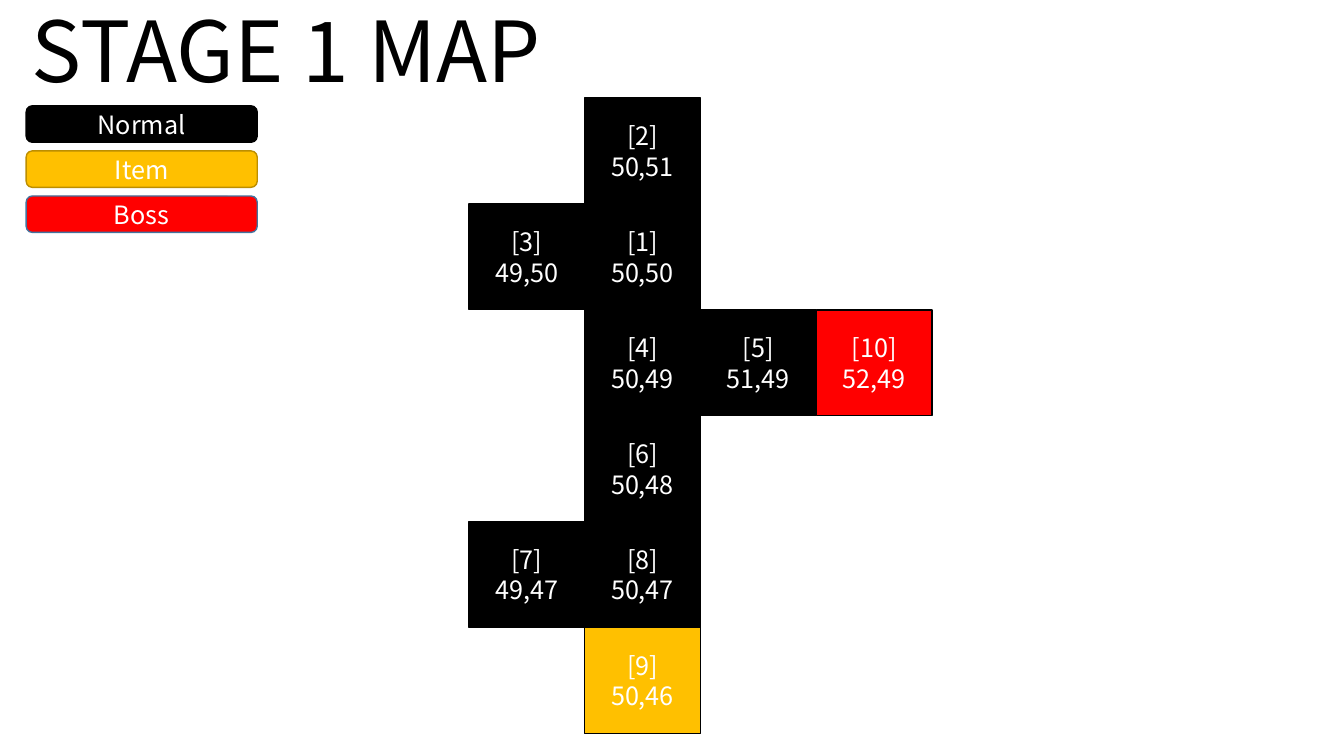
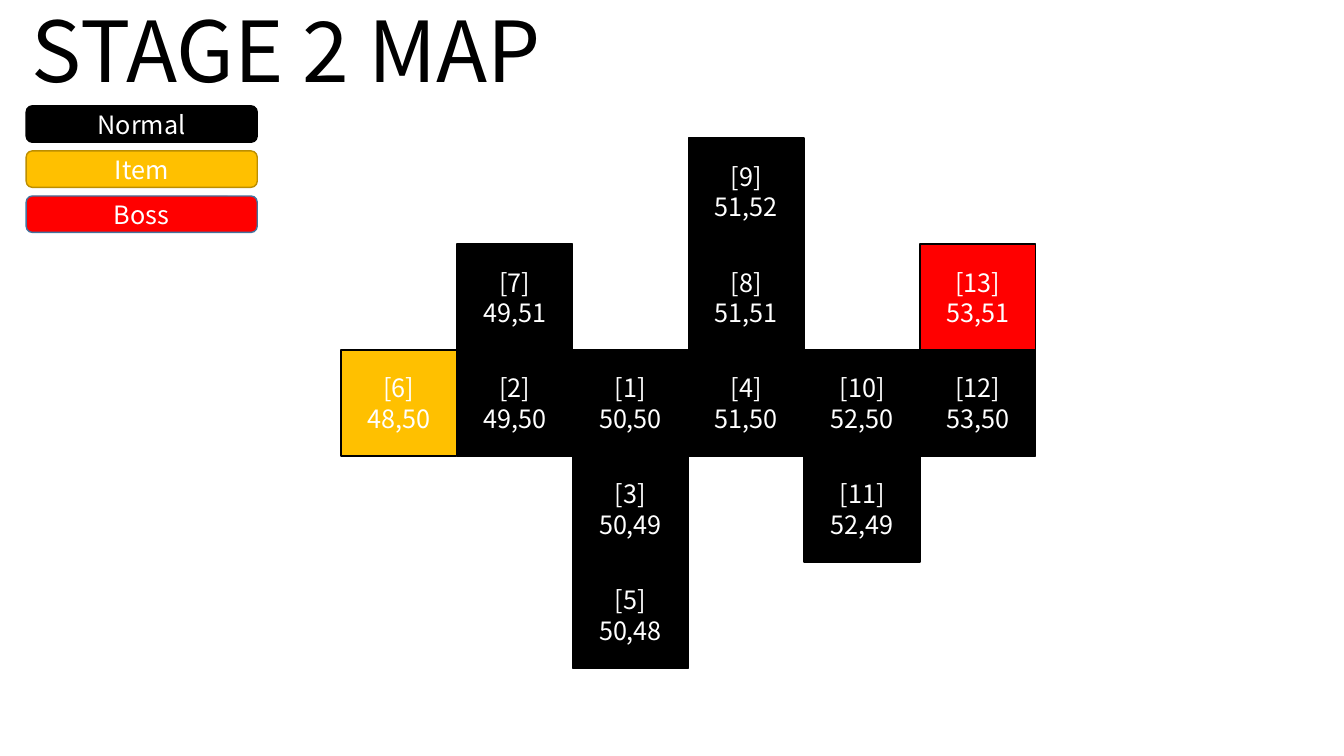
from dataclasses import dataclass

from pptx import Presentation
from pptx.dml.color import RGBColor
from pptx.enum import shapes as kinds, text as t
from pptx.util import Pt

# Each room: column, row on the dungeon grid; rooms are numbered in order.
STAGES = [
    {
        "title": "STAGE 1 MAP",
        "start_at": (417.6, 145.6),
        "rooms": [(50, 50), (50, 51), (49, 50), (50, 49), (51, 49),
                  (50, 48), (49, 47), (50, 47), (50, 46), (52, 49)],
        "special": {9: "Item", 10: "Boss"},
    },
    {
        "title": "STAGE 2 MAP",
        "start_at": (409, 250),
        "rooms": [(50, 50), (49, 50), (50, 49), (51, 50), (50, 48),
                  (48, 50), (49, 51), (51, 51), (51, 52), (52, 50),
                  (52, 49), (53, 50), (53, 51)],
        "special": {6: "Item", 13: "Boss"},
    },
]
LEGEND = ["Normal", "Item", "Boss"]

START_COLUMN, START_ROW = 50, 50
ROOM_WIDTH, ROOM_HEIGHT = 82.7, 75.7
TITLE_BOX = (0, 0, 409, 75.6)
LEGEND_BOX = (18.7, 75.6, 165, 26)
LEGEND_PITCH = 32.2


@dataclass(frozen=True)
class Theme:
    font: str = "Noto Sans CJK KR"
    title_size: int = 60
    label_size: int = 18
    line_width: int = 1
    dark: str = "000000"
    light: str = "FFFFFF"
    item: str = "FFC000"
    item_edge: str = "BD8E00"
    boss: str = "FF0000"
    boss_edge: str = "43739E"

    def fill(self, kind):
        return {"Normal": self.dark, "Item": self.item, "Boss": self.boss}[kind]

    def legend_edge(self, kind):
        return {"Normal": self.dark, "Item": self.item_edge,
                "Boss": self.boss_edge}[kind]


THEME = Theme()


def write(shape, lines, *, size, color, anchor=t.MSO_ANCHOR.MIDDLE, spacing=1.0):
    frame = shape.text_frame
    frame.text = "\n".join(lines)
    frame.auto_size = t.MSO_AUTO_SIZE.NONE
    frame.word_wrap = True
    frame.vertical_anchor = anchor
    for paragraph in frame.paragraphs:
        paragraph.alignment = t.PP_ALIGN.CENTER
        paragraph.line_spacing = spacing
        font = paragraph.runs[0].font
        font.name, font.size = THEME.font, Pt(size)
        font.color.rgb = RGBColor.from_string(color)


def add_block(slide, preset, box, lines, fill, edge):
    block = slide.shapes.add_shape(preset, *map(Pt, box))
    block.shadow.inherit = False
    block.fill.solid()
    block.fill.fore_color.rgb = RGBColor.from_string(fill)
    block.line.color.rgb = RGBColor.from_string(edge)
    block.line.width = Pt(THEME.line_width)
    write(block, lines, size=THEME.label_size, color=THEME.light)


def add_title(slide, wording):
    title = slide.shapes.title
    title.left, title.top, title.width, title.height = map(Pt, TITLE_BOX)
    write(title, [wording], size=THEME.title_size, color=THEME.dark,
          anchor=t.MSO_ANCHOR.BOTTOM, spacing=0.9)


def add_rooms(slide, stage):
    start_left, start_top = stage["start_at"]
    for number, (column, row) in enumerate(stage["rooms"], 1):
        kind = stage["special"].get(number, "Normal")
        box = (start_left + (column - START_COLUMN) * ROOM_WIDTH,
               start_top + (START_ROW - row) * ROOM_HEIGHT,
               ROOM_WIDTH, ROOM_HEIGHT)
        add_block(slide, kinds.MSO_SHAPE.RECTANGLE, box,
                  [f"[{number}]", f"{column},{row}"], THEME.fill(kind), THEME.dark)


def add_legend(slide):
    left, top, width, height = LEGEND_BOX
    for index, kind in enumerate(LEGEND):
        add_block(slide, kinds.MSO_SHAPE.ROUNDED_RECTANGLE,
                  (left, top + index * LEGEND_PITCH, width, height),
                  [kind], THEME.fill(kind), THEME.legend_edge(kind))


def main():
    deck = Presentation()
    deck.slide_width, deck.slide_height = Pt(960), Pt(540)
    for stage in STAGES:
        slide = deck.slides.add_slide(deck.slide_layouts[0])
        subtitle = slide.placeholders[1].element
        subtitle.getparent().remove(subtitle)
        add_title(slide, stage["title"])
        add_rooms(slide, stage)
        add_legend(slide)
    deck.save("out.pptx")


if __name__ == "__main__":
    main()
